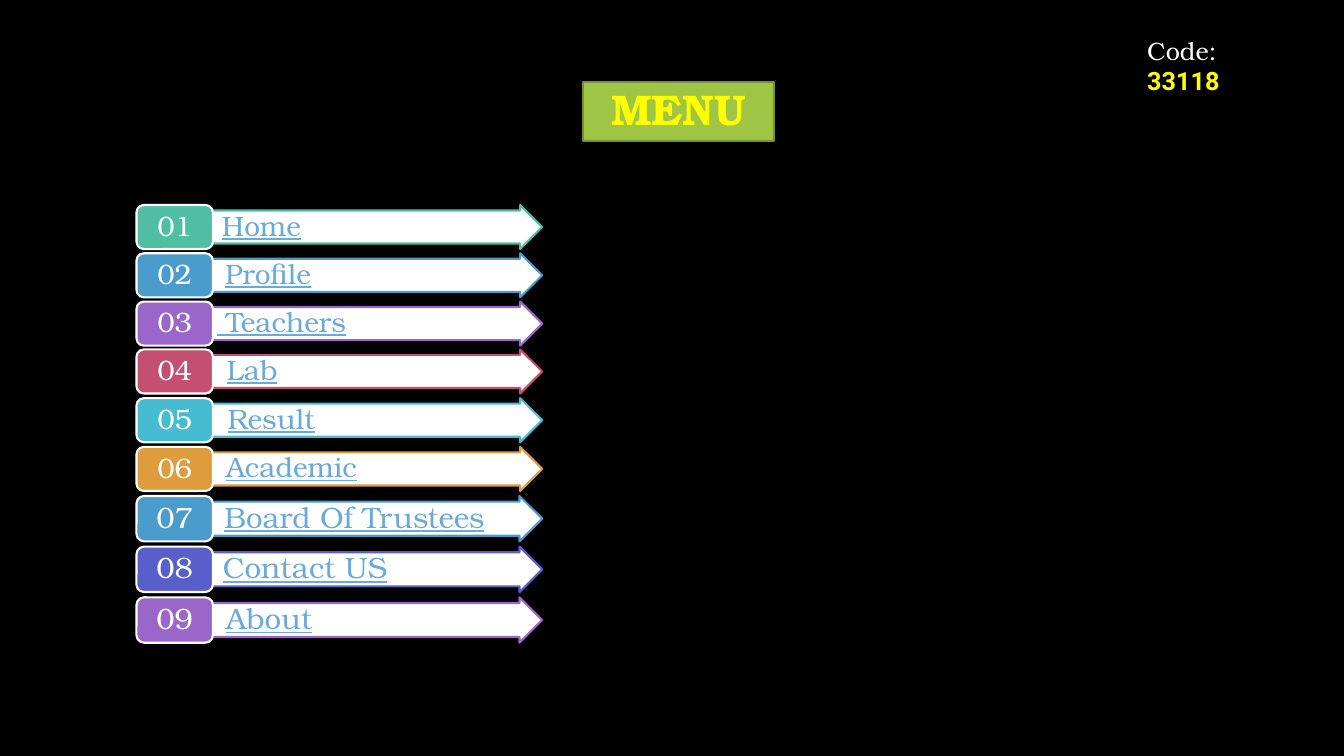
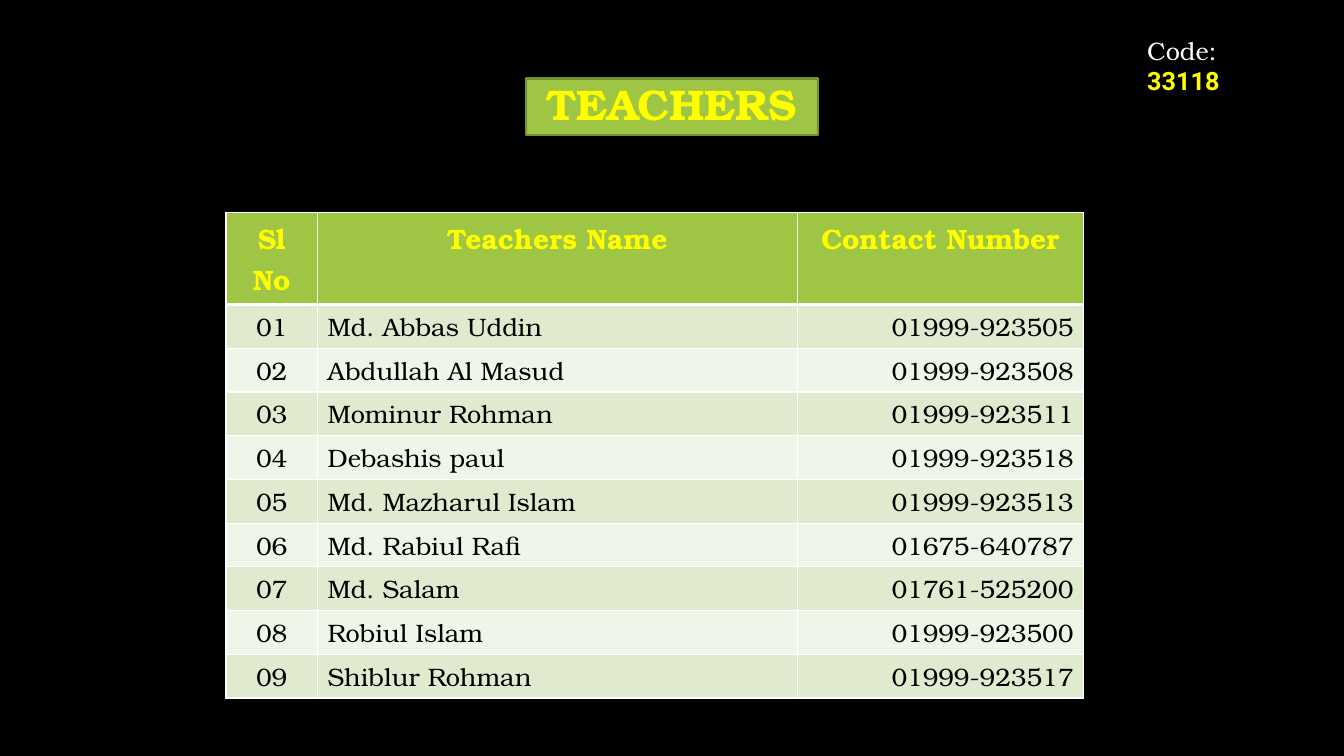
from dataclasses import dataclass
from typing import NamedTuple

from lxml.etree import SubElement
from pptx import Presentation
from pptx.dml.color import RGBColor
from pptx.enum.shapes import MSO_SHAPE
from pptx.enum.text import MSO_ANCHOR, PP_ALIGN
from pptx.oxml.ns import qn
from pptx.shapes.autoshape import Shape
from pptx.slide import Slide
from pptx.table import _Cell
from pptx.text.text import TextFrame, _Paragraph, _Run
from pptx.util import Emu, Inches, Pt

COLUMNS, ROWS = 160, 90
CELL = Inches(1) // 12

SERIF, SANS = "TeX Gyre Bonum", "Roboto"
BLACK, WHITE, YELLOW = "000000", "FFFFFF", "FFFF00"
GREEN, DARK_GREEN = "9EC544", "759232"
BAND_FILLS = ("DFEACF", "F0F5E9")
LINK = "6BA9DA"
TEAL, BLUE, PURPLE = "50BEA3", "4A9CCC", "9A66CA"
ROSE, CYAN, ORANGE, INDIGO = "C54F71", "45BCD2", "DE9C3C", "585FCB"

TAB_LEFT, TAB_WIDTH = 16.25, 9.1
ARROW_LEFT, ARROW_RIGHT = 23, 64.55
LABEL_DROP = 0.7


class Box(NamedTuple):
    left: float
    top: float
    width: float
    height: float

    def lengths(self) -> list[Emu]:
        return [grid(value) for value in self]


@dataclass(frozen=True)
class Style:
    size: float
    color: str
    bold: bool = False
    underline: bool = False
    font: str = SERIF


@dataclass(frozen=True)
class MenuItem:
    label: str
    color: str
    label_left: float


@dataclass(frozen=True)
class MenuGroup:
    top: float
    pitch: float
    height: float
    size: float
    items: tuple[MenuItem, ...]


class Teacher(NamedTuple):
    name: str
    phone: str


MENU = (
    MenuGroup(24.4, 5.75, 5.25, 20, (
        MenuItem("Home", TEAL, 26.3),
        MenuItem("Profile", BLUE, 26.7),
        MenuItem(" Teachers", PURPLE, 25.7),
    )),
    MenuGroup(41.6, 5.8, 5.25, 20, (
        MenuItem("Lab", ROSE, 26.9),
        MenuItem("Result", CYAN, 27),
        MenuItem("Academic", ORANGE, 26.8),
    )),
    MenuGroup(59.05, 6.03, 5.4, 21, (
        MenuItem("Board Of Trustees", BLUE, 26.6),
        MenuItem("Contact US", INDIGO, 26.4),
        MenuItem("About", PURPLE, 26.8),
    )),
)

TEACHERS = (
    Teacher("Md. Abbas Uddin", "01999-923505"),
    Teacher("Abdullah Al Masud", "01999-923508"),
    Teacher("Mominur Rohman", "01999-923511"),
    Teacher("Debashis paul", "01999-923518"),
    Teacher("Md. Mazharul Islam", "01999-923513"),
    Teacher("Md. Rabiul Rafi", "01675-640787"),
    Teacher("Md. Salam", "01761-525200"),
    Teacher("Robiul Islam", "01999-923500"),
    Teacher("Shiblur Rohman", "01999-923517"),
)
TABLE_HEADER = ("Sl No", "Teachers Name", "Contact Number")
TABLE_COLUMNS = (10.9, 57.1, 34.1)
TABLE_ALIGNMENTS = (PP_ALIGN.CENTER, PP_ALIGN.LEFT, PP_ALIGN.RIGHT)
HEADER_HEIGHT, BODY_HEIGHT = 10.95, 5.21


def grid(cells: float) -> Emu:
    return Emu(round(cells * CELL))


def rgb(color: str) -> RGBColor:
    return RGBColor.from_string(color)


def style_run(run: _Run, style: Style) -> None:
    font = run.font
    font.name = style.font
    font.size = Pt(style.size)
    font.bold = style.bold
    font.underline = style.underline
    font.color.rgb = rgb(style.color)


def write(paragraph: _Paragraph, text: str, style: Style,
          alignment: PP_ALIGN = PP_ALIGN.LEFT, spacing: float = 1.0) -> None:
    paragraph.text = text
    paragraph.alignment = alignment
    paragraph.line_spacing = spacing
    for run in paragraph.runs:
        style_run(run, style)


def set_margins(text_frame: TextFrame, horizontal: float, vertical: float) -> None:
    text_frame.margin_left = text_frame.margin_right = Inches(horizontal)
    text_frame.margin_top = text_frame.margin_bottom = Inches(vertical)


def add_panel(slide: Slide, kind: MSO_SHAPE, box: Box, fill: str, line: str) -> Shape:
    shape = slide.shapes.add_shape(kind, *box.lengths())
    shape.shadow.inherit = False
    shape.fill.solid()
    shape.fill.fore_color.rgb = rgb(fill)
    shape.line.color.rgb = rgb(line)
    shape.line.width = Pt(1.5)
    return shape


def add_centred_panel(slide: Slide, kind: MSO_SHAPE, box: Box, fill: str, line: str,
                      text: str, style: Style) -> None:
    text_frame = add_panel(slide, kind, box, fill, line).text_frame
    text_frame.vertical_anchor = MSO_ANCHOR.MIDDLE
    set_margins(text_frame, 0.08, 0.04)
    write(text_frame.paragraphs[0], text, style, PP_ALIGN.CENTER, 0.9)


def add_text_box(slide: Slide, box: Box) -> TextFrame:
    text_frame = slide.shapes.add_textbox(*box.lengths()).text_frame
    text_frame.word_wrap = True
    return text_frame


def add_title(slide: Slide, text: str, box: Box) -> None:
    add_centred_panel(slide, MSO_SHAPE.RECTANGLE, box, GREEN, DARK_GREEN,
                      text, Style(30.6, YELLOW, bold=True))


def add_code(slide: Slide) -> None:
    paragraph = add_text_box(slide, Box(135.4, 3.6, 19.2, 8)).paragraphs[0]
    write(paragraph, "Code: ", Style(18, WHITE))
    number = paragraph.add_run()
    number.text = "33118"
    style_run(number, Style(18, YELLOW, bold=True, font=SANS))


def add_framed_slide(presentation: Presentation, title: str, title_box: Box) -> Slide:
    slide = presentation.slides.add_slide(presentation.slide_layouts[6])
    slide.background.fill.solid()
    slide.background.fill.fore_color.rgb = rgb(BLACK)
    add_title(slide, title, title_box)
    add_code(slide)
    return slide


def add_menu_item(slide: Slide, item: MenuItem, number: int, top: float,
                  group: MenuGroup) -> None:
    arrow_box = Box(ARROW_LEFT, top, ARROW_RIGHT - ARROW_LEFT, group.height)
    arrow = add_panel(slide, MSO_SHAPE.RIGHT_ARROW, arrow_box, WHITE, item.color)
    arrow.adjustments[0] = 0.75
    label_box = Box(item.label_left, top + LABEL_DROP, ARROW_RIGHT - item.label_left, 4)
    label = add_text_box(slide, label_box)
    set_margins(label, 0.01, 0.01)
    write(label.paragraphs[0], item.label, Style(group.size, LINK, underline=True), spacing=0.9)
    add_centred_panel(slide, MSO_SHAPE.ROUNDED_RECTANGLE,
                      Box(TAB_LEFT, top, TAB_WIDTH, group.height), item.color, WHITE,
                      f"{number:02d}", Style(group.size, WHITE))


def add_menu(slide: Slide) -> None:
    number = 0
    for group in MENU:
        for index, item in enumerate(group.items):
            number += 1
            add_menu_item(slide, item, number, group.top + index * group.pitch, group)


def set_borders(cell: _Cell, top: float, bottom: float) -> None:
    properties = cell._tc.get_or_add_tcPr()
    widths = {"a:lnL": 1, "a:lnR": 1, "a:lnT": top, "a:lnB": bottom}
    for index, (tag, width) in enumerate(widths.items()):
        line = SubElement(properties, qn(tag), w=str(Pt(width)))
        SubElement(SubElement(line, qn("a:solidFill")), qn("a:srgbClr"), val=WHITE)
        properties.insert(index, line)


def add_teacher_table(slide: Slide) -> None:
    rows = [TABLE_HEADER] + [(f"{number:02d}", *teacher)
                             for number, teacher in enumerate(TEACHERS, 1)]
    box = Box(26.9, 25.3, sum(TABLE_COLUMNS), HEADER_HEIGHT + BODY_HEIGHT * len(TEACHERS))
    table = slide.shapes.add_table(len(rows), len(TABLE_COLUMNS), *box.lengths()).table
    for column, width in zip(table.columns, TABLE_COLUMNS):
        column.width = grid(width)
    for row_index, values in enumerate(rows):
        header = row_index == 0
        table.rows[row_index].height = grid(HEADER_HEIGHT if header else BODY_HEIGHT)
        fill = GREEN if header else BAND_FILLS[(row_index - 1) % 2]
        style = Style(20, YELLOW, bold=True) if header else Style(18, BLACK)
        for column_index, value in enumerate(values):
            cell = table.cell(row_index, column_index)
            cell.fill.solid()
            cell.fill.fore_color.rgb = rgb(fill)
            set_borders(cell, 3 if row_index == 1 else 1, 3 if header else 1)
            alignment = PP_ALIGN.CENTER if header else TABLE_ALIGNMENTS[column_index]
            write(cell.text_frame.paragraphs[0], value, style, alignment)


def main() -> None:
    presentation = Presentation()
    presentation.slide_width = grid(COLUMNS)
    presentation.slide_height = grid(ROWS)
    add_menu(add_framed_slide(presentation, "MENU", Box(69.4, 9.8, 22.8, 7)))
    add_teacher_table(add_framed_slide(presentation, "TEACHERS", Box(62.65, 9.35, 34.7, 6.7)))
    presentation.save("out.pptx")


if __name__ == "__main__":
    main()
